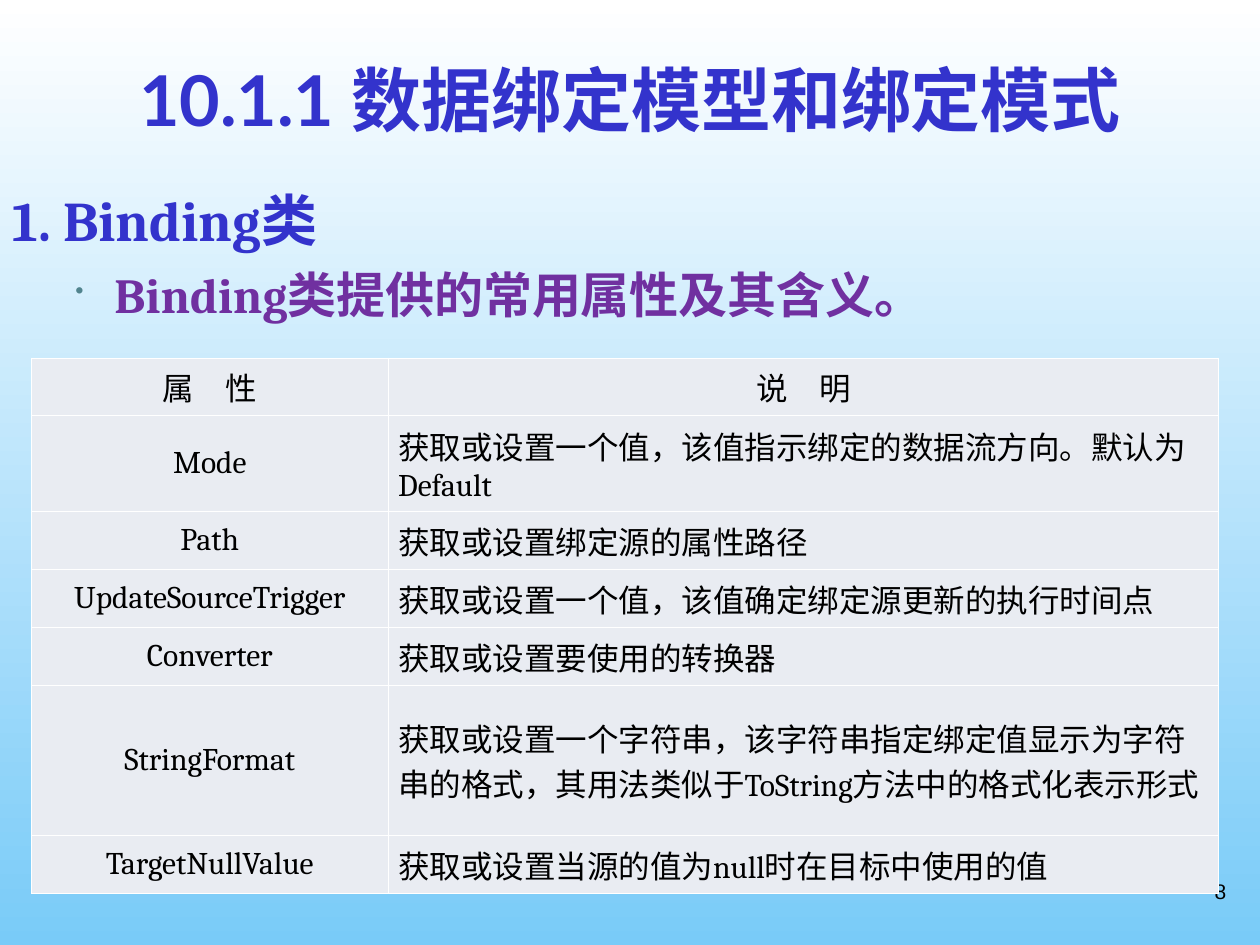
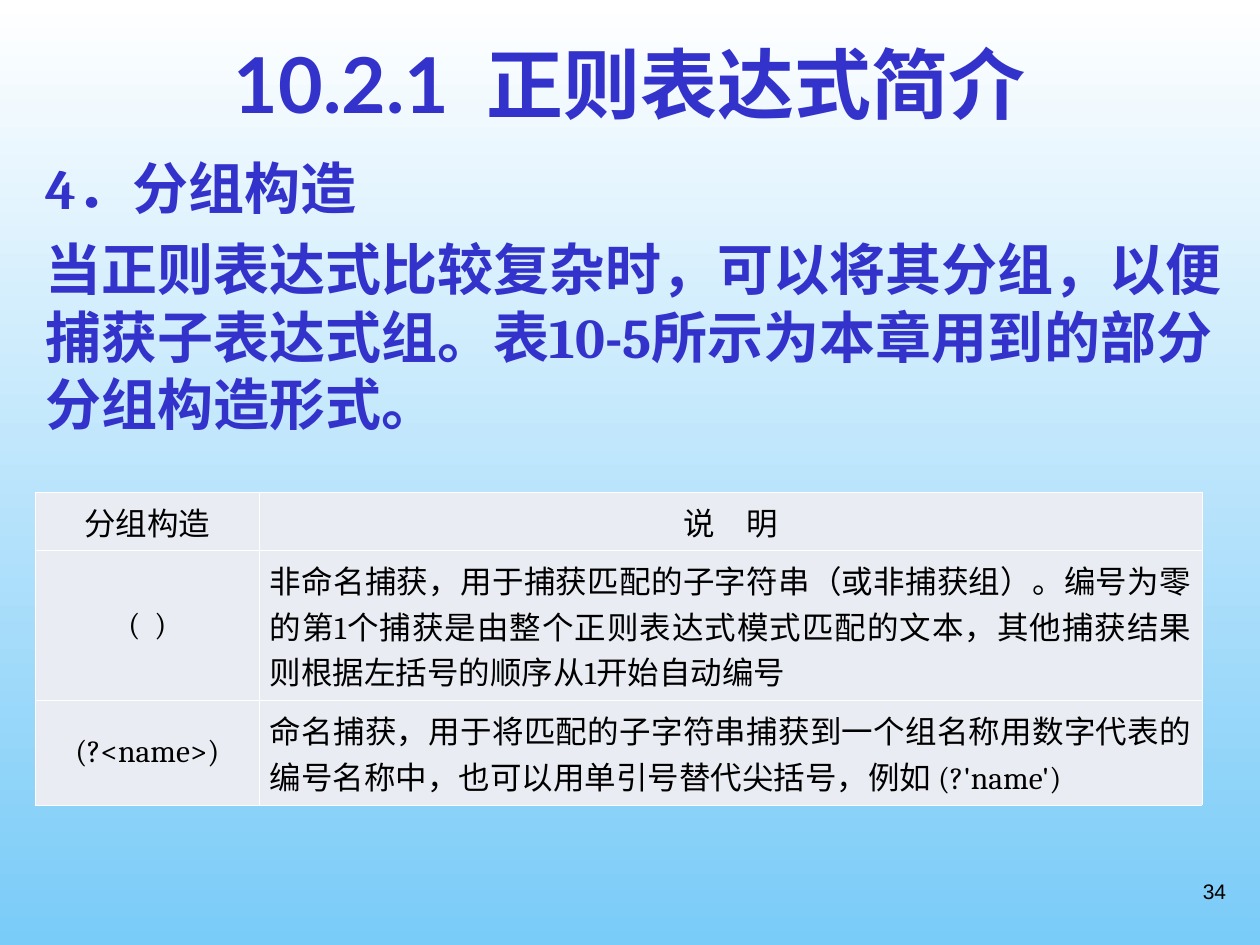
from lxml import etree
from pptx import Presentation
from pptx.dml.color import RGBColor
from pptx.enum.text import MSO_ANCHOR, PP_ALIGN
from pptx.oxml.ns import qn
from pptx.util import Inches, Pt

LEFT, CENTER, RIGHT, JUSTIFY = PP_ALIGN.LEFT, PP_ALIGN.CENTER, PP_ALIGN.RIGHT, PP_ALIGN.JUSTIFY
MIDDLE, TOP = MSO_ANCHOR.MIDDLE, MSO_ANCHOR.TOP

COLORS = {
    "sky_top": "FFFFFF",
    "sky_bottom": "79CBF8",
    "heading": "3333CC",
    "subheading": "7030A0",
    "bullet": "51848E",
    "text": "000000",
    "cell": "E9ECF2",
    "border": "FFFFFF",
}

# Row heights by the number of text lines; a short second line needs less room
ONE_LINE, SHORT_TWO_LINES, TWO_LINES, THREE_LINES = 0.46, 0.76, 0.83, 1.19

PAGES = [
    {
        "number": "8",
        "title": "10.1.1 数据绑定模型和绑定模式",
        "title_size": 40,
        "title_height": 1.25,
        "body_at": (0, 1.42, 9.67, 5.75),
        "body_indent": 0,
        "body": [("1. Binding类", False), ("Binding类提供的常用属性及其含义。", True)],
        "table_at": (0.25, 2.84),
        "columns": [2.83, 6.59],
        "row_heights": [ONE_LINE, SHORT_TWO_LINES, ONE_LINE, ONE_LINE, ONE_LINE,
                        THREE_LINES, ONE_LINE],
        "description_align": LEFT,
        "rows": [
            ("属　性", "说　明"),
            ("Mode", "获取或设置一个值，该值指示绑定的数据流方向。默认为Default"),
            ("Path", "获取或设置绑定源的属性路径"),
            ("UpdateSourceTrigger", "获取或设置一个值，该值确定绑定源更新的执行时间点"),
            ("Converter", "获取或设置要使用的转换器"),
            ("StringFormat", "获取或设置一个字符串，该字符串指定绑定值显示为字符串的格式，"
                             "其用法类似于ToString方法中的格式化表示形式"),
            ("TargetNullValue", "获取或设置当源的值为null时在目标中使用的值"),
        ],
    },
    {
        "number": "34",
        "title": "10.2.1  正则表达式简介",
        "title_size": 44,
        "title_height": 1,
        "body_at": (0.13, 1.17, 9.7, 5.75),
        "body_indent": 0.13,
        "body": [
            ("4．分组构造", False),
            ("当正则表达式比较复杂时，可以将其分组，以便捕获子表达式组。"
             "表10-5所示为本章用到的部分分组构造形式。", False),
        ],
        "table_at": (0.28, 3.91),
        "columns": [1.78, 7.48],
        "row_heights": [ONE_LINE, THREE_LINES, TWO_LINES],
        "description_align": JUSTIFY,
        "rows": [
            ("分组构造", "说　明"),
            ("(  )", "非命名捕获，用于捕获匹配的子字符串（或非捕获组）。编号为零的第1个捕获是由"
                     "整个正则表达式模式匹配的文本，其他捕获结果则根据左括号的顺序从1开始自动编号"),
            ("(?<name>)", "命名捕获，用于将匹配的子字符串捕获到一个组名称用数字代表的编号名称中，"
                          "也可以用单引号替代尖括号，例如 (?'name')"),
        ],
    },
]


def write(paragraph, text, font, size, color, bold=False, align=LEFT):
    paragraph.text = text
    paragraph.alignment = align
    paragraph.font.name = font
    paragraph.font.size = Pt(size)
    paragraph.font.bold = bold
    paragraph.font.color.rgb = RGBColor.from_string(COLORS[color])


def add_frame(page, at, anchor=TOP):
    """Add a wrapping text box and return its text frame."""
    frame = page.shapes.add_textbox(*map(Inches, at)).text_frame
    frame.word_wrap = True
    frame.vertical_anchor = anchor
    return frame


deck = Presentation()
deck.slide_width, deck.slide_height = Inches(10), Inches(7.5)

for content in PAGES:
    page = deck.slides.add_slide(deck.slide_layouts[6])

    sky = page.background.fill
    sky.gradient()
    sky.gradient_angle = 270
    for stop, position, name in zip(sky.gradient_stops, (0, 1), ("sky_top", "sky_bottom")):
        stop.position = position
        stop.color.rgb = RGBColor.from_string(COLORS[name])

    number = add_frame(page, (7.5, 6.92, 2.33, 0.5))
    write(number.paragraphs[0], content["number"], "Arial", 12, "text", align=RIGHT)

    title = add_frame(page, (0.25, 0.16, 9.5, content["title_height"]), MIDDLE)
    write(title.paragraphs[0], content["title"], "Lato", content["title_size"], "heading",
          bold=True, align=CENTER)

    body = add_frame(page, content["body_at"])
    for index, (text, bulleted) in enumerate(content["body"]):
        para = body.add_paragraph() if index else body.paragraphs[0]
        if index:
            para.space_before = Pt(7 if bulleted else 8)
        properties = para._p.get_or_add_pPr()
        properties.set("marL", str(Inches(0.81 if bulleted else content["body_indent"])))
        properties.set("indent", str(Inches(-0.31 if bulleted else 0)))
        if bulleted:
            para.level = 1
            bullet_color = etree.SubElement(properties, qn("a:buClr"))
            etree.SubElement(bullet_color, qn("a:srgbClr"), val=COLORS["bullet"])
            etree.SubElement(properties, qn("a:buSzPct"), val="50000")
            etree.SubElement(properties, qn("a:buChar"), char="•")
        write(para, text, "Cambria", 28 if bulleted else 32,
              "subheading" if bulleted else "heading", bold=True)

    rows, columns, heights = content["rows"], content["columns"], content["row_heights"]
    left, top = content["table_at"]
    table = page.shapes.add_table(len(rows), len(columns), Inches(left), Inches(top),
                                  Inches(sum(columns)), Inches(sum(heights))).table
    table.first_row = table.horz_banding = False
    for column, width in zip(table.columns, columns):
        column.width = Inches(width)
    for row_index, (row, height) in enumerate(zip(rows, heights)):
        table.rows[row_index].height = Inches(height)
        for column_index, text in enumerate(row):
            cell = table.cell(row_index, column_index)
            cell.vertical_anchor = MIDDLE
            cell.margin_left = cell.margin_right = Inches(0.08)
            cell.margin_top = cell.margin_bottom = Inches(0.05)
            is_description = row_index > 0 and column_index == 1
            write(cell.text_frame.paragraphs[0], text, "Cambria", 18, "text",
                  align=content["description_align"] if is_description else CENTER)
            cell_properties = cell._tc.get_or_add_tcPr()
            for side in ("a:lnL", "a:lnR", "a:lnT", "a:lnB"):
                border = etree.SubElement(cell_properties, qn(side), w=str(Pt(0.45)))
                border_fill = etree.SubElement(border, qn("a:solidFill"))
                etree.SubElement(border_fill, qn("a:srgbClr"), val=COLORS["border"])
            cell.fill.solid()
            cell.fill.fore_color.rgb = RGBColor.from_string(COLORS["cell"])

deck.save("out.pptx")
